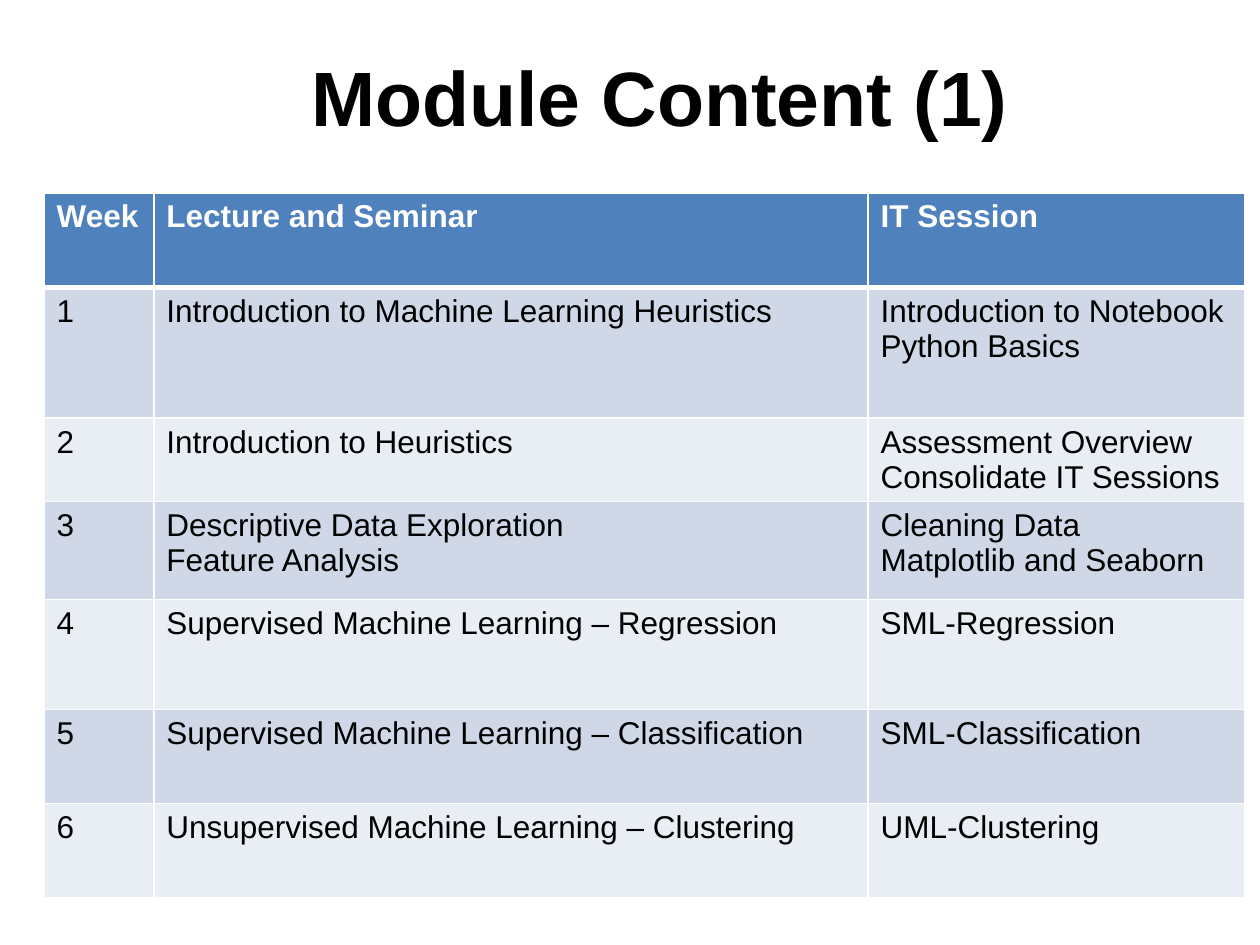
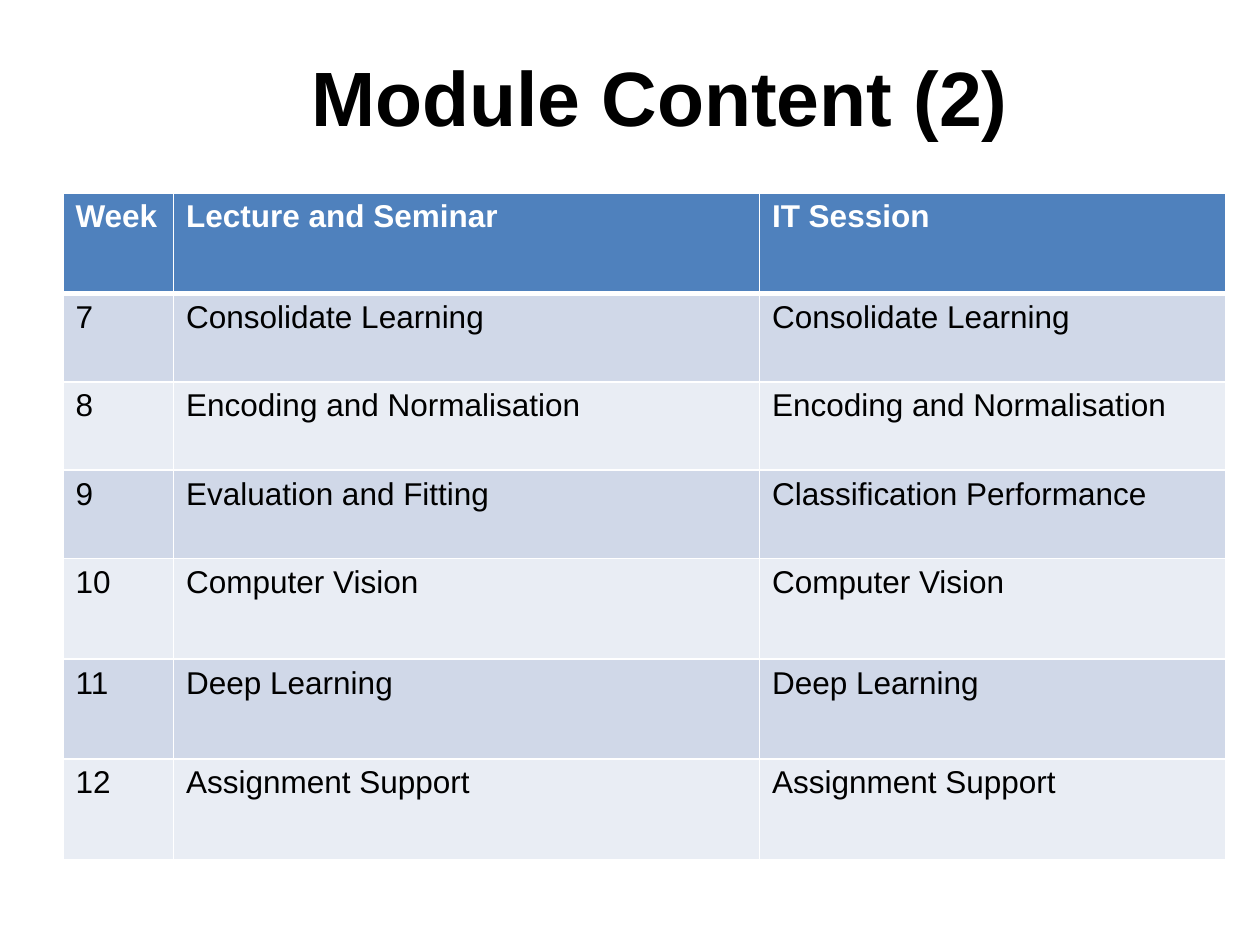
from dataclasses import dataclass

from lxml import etree
from pptx import Presentation, util as u
from pptx.dml.color import RGBColor
from pptx.enum import text
from pptx.oxml import ns

# Shared look
COLORS = {"white": "FFFFFF", "ink": "000000", "head": "4F81BD",
          "odd": "D0D8E8", "even": "E9EDF4"}
TITLE_BOX = {"left": u.Cm(1.9), "top": u.Cm(0.33),
             "width": u.Cm(22.81), "height": u.Cm(3.18)}
TITLE_FONT = {"name": "Arial", "size": u.Pt(44), "bold": True}
HEAD_FONT = {"name": "Arial", "size": u.Pt(18), "bold": True}
BODY_FONT = {**HEAD_FONT, "bold": False}
TABLE_TOP = 3.89
THIN, THICK = u.Pt(1), u.Pt(3)
HEADINGS = ("Week", "Lecture and Seminar", "IT Session")


@dataclass
class ModuleTable:
    title: str
    left: float
    col_widths: list[float]
    row_heights: list[float]
    first_week: int
    sessions: list[tuple[str, str]]


TABLES = [
    ModuleTable(
        "Module Content (1)", 0.89, [2.21, 14.4, 7.59],
        [1.9, 2.64, 1.68, 1.98, 2.21, 1.9, 1.9], 1,
        [("Introduction to Machine Learning Heuristics",
          "Introduction to Notebook Python Basics"),
         ("Introduction to Heuristics",
          "Assessment Overview\nConsolidate IT Sessions"),
         ("Descriptive Data Exploration\nFeature Analysis",
          "Cleaning Data\nMatplotlib and Seaborn"),
         ("Supervised Machine Learning – Regression", "SML-Regression"),
         ("Supervised Machine Learning – Classification", "SML-Classification"),
         ("Unsupervised Machine Learning – Clustering", "UML-Clustering")]),
    ModuleTable(
        "Module Content (2)", 1.27, [2.23, 11.81, 9.4],
        [2.03, 1.78, 1.78, 1.78, 2.03, 2.01, 2.03], 7,
        [("Consolidate Learning", "Consolidate Learning"),
         ("Encoding and Normalisation", "Encoding and Normalisation"),
         ("Evaluation and Fitting", "Classification Performance"),
         ("Computer Vision", "Computer Vision"),
         ("Deep Learning", "Deep Learning"),
         ("Assignment Support", "Assignment Support")]),
]


def rgb(name: str) -> RGBColor:
    return RGBColor.from_string(COLORS[name])


def style_text(tf, values: dict, color: str) -> None:
    for p in tf.paragraphs:
        for r in p.runs:
            for key, value in values.items():
                setattr(r.font, key, value)
            r.font.color.rgb = rgb(color)


def set_borders(cell, top: int, bottom: int) -> None:
    """White cell borders; the line elements come before the fill."""
    tc_pr = cell._tc.get_or_add_tcPr()
    widths = {"a:lnL": THIN, "a:lnR": THIN, "a:lnT": top, "a:lnB": bottom}
    for i, (tag, width) in enumerate(widths.items()):
        ln = etree.Element(ns.qn(tag), w=str(int(width)))
        fill = etree.SubElement(ln, ns.qn("a:solidFill"))
        etree.SubElement(fill, ns.qn("a:srgbClr"), val=COLORS["white"])
        tc_pr.insert(i, ln)


def add_title(s, title: str) -> None:
    sp = s.shapes.title
    for key, value in TITLE_BOX.items():
        setattr(sp, key, value)
    tf = sp.text_frame
    tf.text = title
    tf.vertical_anchor = text.MSO_ANCHOR.MIDDLE
    tf.paragraphs[0].alignment = text.PP_ALIGN.CENTER
    style_text(tf, TITLE_FONT, "ink")


def add_module_table(s, spec: ModuleTable) -> None:
    weeks = enumerate(spec.sessions, spec.first_week)
    rows = [HEADINGS] + [(str(week), *pair) for week, pair in weeks]
    tbl = s.shapes.add_table(
        len(rows), len(HEADINGS), u.Cm(spec.left), u.Cm(TABLE_TOP),
        u.Cm(sum(spec.col_widths)), u.Cm(sum(spec.row_heights))).table
    for col, width in zip(tbl.columns, spec.col_widths):
        col.width = u.Cm(width)
    for row, height in zip(tbl.rows, spec.row_heights):
        row.height = u.Cm(height)

    # Header row, then alternating bands
    for i, row in enumerate(rows):
        header = i == 0
        band = "head" if header else ("odd" if i % 2 else "even")
        for j, words in enumerate(row):
            cell = tbl.cell(i, j)
            cell.text = words
            cell.fill.solid()
            cell.fill.fore_color.rgb = rgb(band)
            style_text(cell.text_frame, HEAD_FONT if header else BODY_FONT,
                       "white" if header else "ink")
            set_borders(cell, THICK if i == 1 else THIN,
                        THICK if header else THIN)


def main() -> None:
    prs = Presentation()
    prs.slide_width, prs.slide_height = u.Cm(25.4), u.Cm(19.05)
    title_only = prs.slide_layouts[5]
    for spec in TABLES:
        s = prs.slides.add_slide(title_only)
        add_title(s, spec.title)
        add_module_table(s, spec)
    prs.save("out.pptx")


if __name__ == "__main__":
    main()
